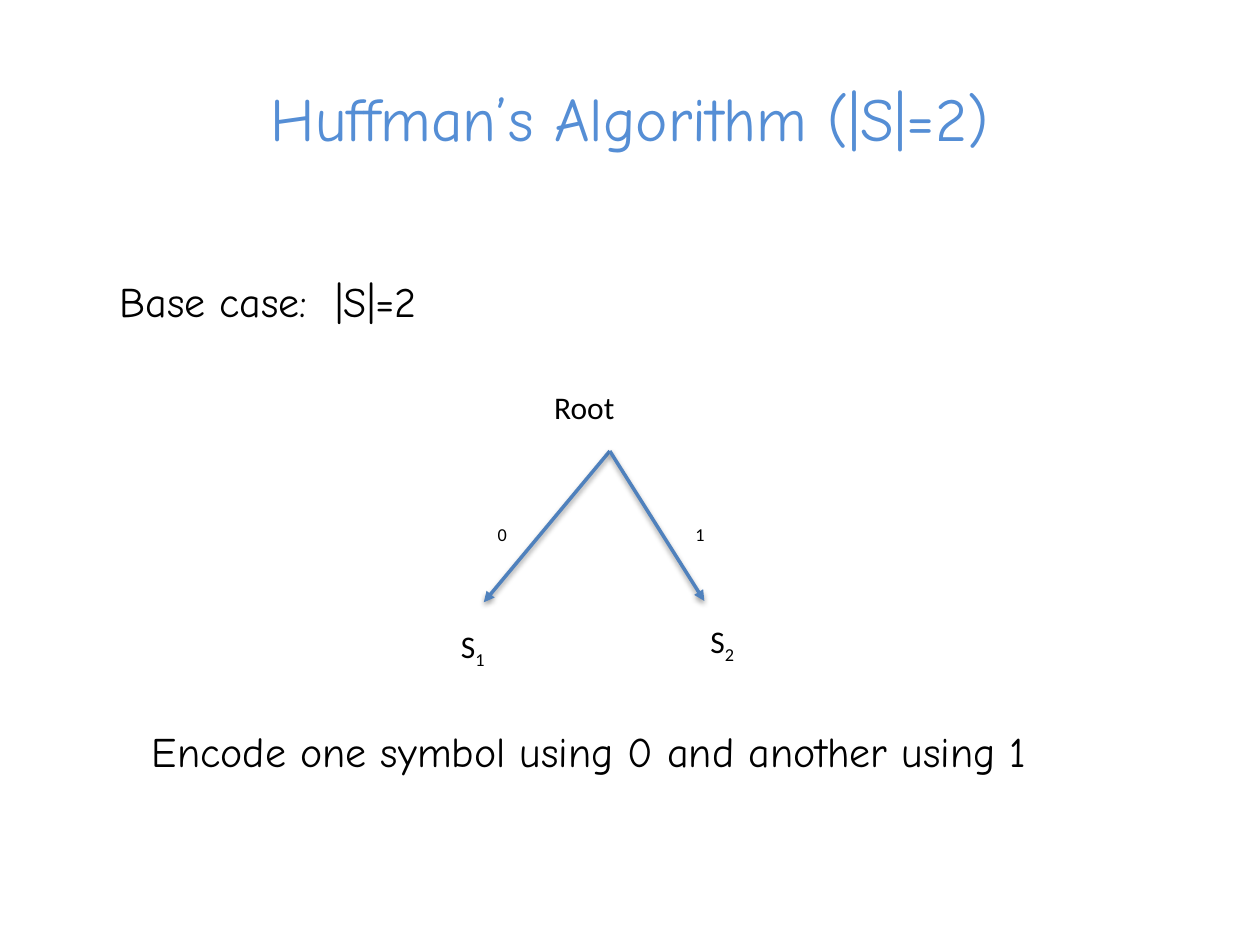
from dataclasses import dataclass

from lxml import etree
from pptx import Presentation
from pptx.dml.color import RGBColor
from pptx.enum.shapes import MSO_CONNECTOR
from pptx.enum.text import MSO_ANCHOR, MSO_AUTO_SIZE, PP_ALIGN
from pptx.oxml import parse_xml
from pptx.oxml.ns import nsdecls, qn
from pptx.util import Inches, Pt

STRAIGHT = MSO_CONNECTOR.STRAIGHT
MIDDLE = MSO_ANCHOR.MIDDLE
GROW = MSO_AUTO_SIZE.SHAPE_TO_FIT_TEXT
LEFT, CENTER = PP_ALIGN.LEFT, PP_ALIGN.CENTER


@dataclass(frozen=True)
class Theme:
    title_color: RGBColor = RGBColor(0x55, 0x8E, 0xD5)
    text_color: RGBColor = RGBColor(0, 0, 0)
    edge_color: RGBColor = RGBColor(0x4F, 0x81, 0xBD)
    text_font: str = "Comic Neue"
    node_font: str = "Calibri"
    title_size: Pt = Pt(35)
    body_size: Pt = Pt(24)
    node_size: Pt = Pt(18)
    edge_width: Pt = Pt(2)


THEME = Theme()
SHADOW = (
    f'<a:effectLst {nsdecls("a")}>'
    '<a:outerShdw blurRad="40000" dist="20000" dir="5400000" rotWithShape="0">'
    '<a:srgbClr val="000000"><a:alpha val="38000"/></a:srgbClr>'
    '</a:outerShdw></a:effectLst>'
)


def add_run(p, text, font, size, color, subscript=False):
    r = p.add_run()
    r.text = text
    r.font.name, r.font.size = font, size
    r.font.color.rgb = color
    if subscript:
        r.font._element.set("baseline", "-25000")


def add_text_box(shapes, box, align=LEFT):
    """Add a wrapping text box and return its first paragraph."""
    tf = shapes.add_textbox(*map(Inches, box)).text_frame
    tf.word_wrap = True
    tf.auto_size = GROW
    p = tf.paragraphs[0]
    p.alignment = align
    return p


def add_title(s, box, text):
    sp = s.shapes.title
    sp.left, sp.top, sp.width, sp.height = map(Inches, box)
    tf = sp.text_frame
    tf.vertical_anchor = MIDDLE
    tf.auto_size = GROW
    p = tf.paragraphs[0]
    p.alignment = CENTER
    add_run(p, text, THEME.text_font, THEME.title_size, THEME.title_color)


def add_statement(s, box, text, align=LEFT):
    p = add_text_box(s.shapes, box, align)
    add_run(p, text, THEME.text_font, THEME.body_size, THEME.text_color)


def add_edge(shapes, start, end):
    """Add a shadowed arrow from a parent to a child."""
    cxn = shapes.add_connector(STRAIGHT, *map(Inches, (*start, *end)))
    cxn.line.color.rgb = THEME.edge_color
    cxn.line.width = THEME.edge_width
    etree.SubElement(cxn.line._get_or_add_ln(), qn("a:tailEnd"), type="triangle")
    cxn._element.spPr.append(parse_xml(SHADOW))


def add_code_tree(s, box):
    left, top, width, height = box
    shapes = s.shapes.add_group_shape().shapes
    label_w, label_h, bit_h = 0.85, 0.4, 0.3

    # Edges from the root to both leaves
    root = (left + 1.28, top + 0.55)
    for dx, dy in ((-1, 1.2), (0.75, 1.19)):
        add_edge(shapes, root, (root[0] + dx, root[1] + dy))

    # Node names and edge bits: x, y, height, plain text, subscript
    right = left + width - label_w
    bottom = top + height - label_h
    labels = (
        (left, bottom, label_h, "S", "1"),
        (right, bottom - 0.04, label_h, "S", "2"),
        (left + 0.74, top, label_h, "Root", ""),
        (left + 0.29, top + 0.91, bit_h, "", "0"),
        (right - 0.12, top + 0.91, bit_h, "", "1"),
    )
    for x, y, h, name, sub in labels:
        p = add_text_box(shapes, (x, y, label_w, h))
        for text, subscript in ((name, False), (sub, True)):
            if text:
                add_run(p, text, THEME.node_font, THEME.node_size,
                        THEME.text_color, subscript)


def main():
    prs = Presentation()
    prs.slide_width, prs.slide_height = Inches(10), Inches(7.5)
    s = prs.slides.add_slide(prs.slide_layouts[5])
    add_title(s, (0.5, 0.58, 9, 0.69), "Huffman’s Algorithm (|S|=2)")
    add_statement(s, (0.85, 2.14, 9, 0.5), "Base case:  |S|=2")
    add_statement(s, (0.23, 5.71, 9, 0.5),
                  "Encode one symbol using 0 and another using 1 ", CENTER)
    add_code_tree(s, (3.56, 3.03, 2.83, 2.3))
    prs.save("out.pptx")


if __name__ == "__main__":
    main()
